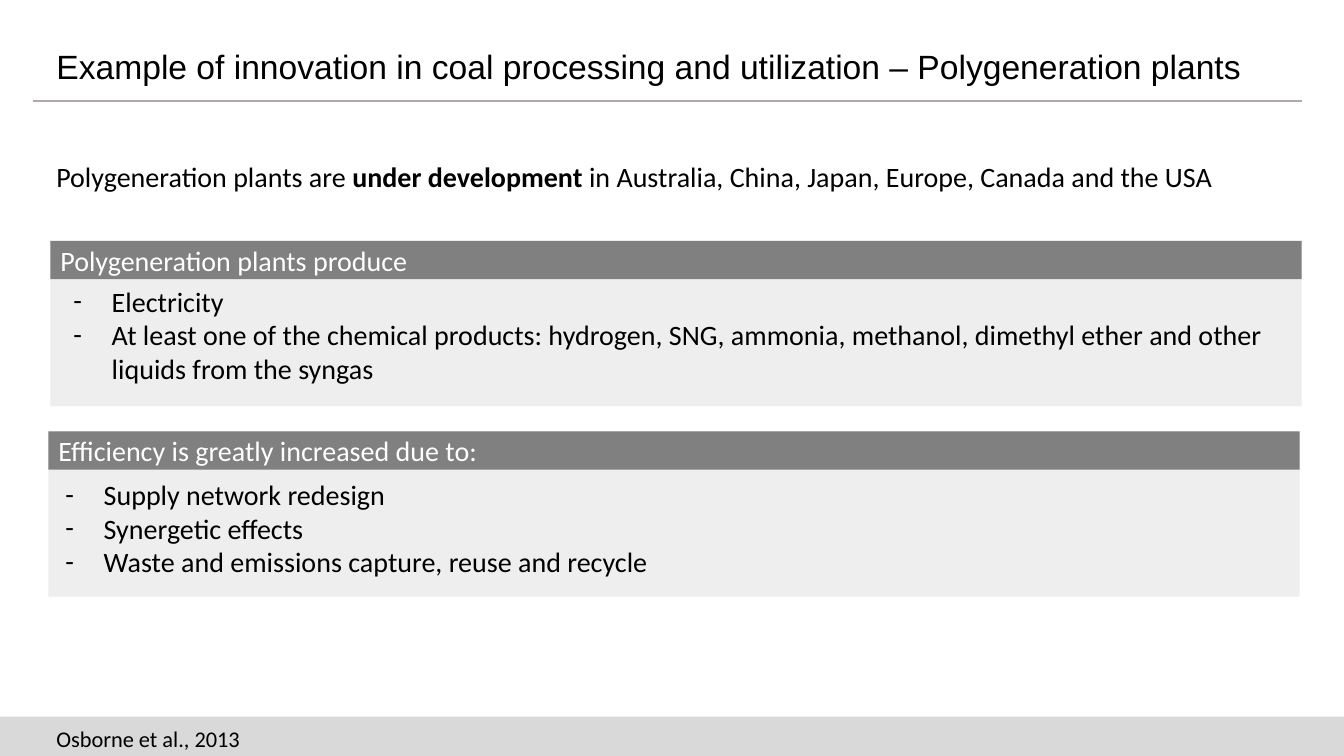
from lxml.etree import SubElement
from pptx import Presentation
from pptx.dml.color import RGBColor
from pptx.enum.shapes import MSO_CONNECTOR as Line, MSO_SHAPE as Shape
from pptx.enum.text import MSO_ANCHOR as Anchor, PP_ALIGN as Align
from pptx.oxml.ns import qn
from pptx.util import Inches, Pt

BLACK = RGBColor(0, 0, 0)
WHITE = RGBColor(255, 255, 255)
DARK = RGBColor(0x80, 0x80, 0x80)
PALE = RGBColor(0xEE, 0xEE, 0xEE)
RULE = RGBColor(0xAF, 0xAB, 0xAB)
BAND = RGBColor(0xD9, 0xD9, 0xD9)


def place(box):
    return [Inches(v) for v in box]


def add_run(para, text, size=20, color=BLACK, font="Calibri", bold=False):
    run = para.add_run()
    run.text = text
    run.font.size = Pt(size)
    run.font.name = font
    run.font.bold = bold
    run.font.color.rgb = color


def add_rect(shapes, box, color):
    rect = shapes.add_shape(Shape.RECTANGLE, *place(box))
    rect.shadow.inherit = False
    rect.fill.solid()
    rect.fill.fore_color.rgb = color
    rect.line.fill.background()
    return rect


def add_text(shapes, box, wrap=True):
    frame = shapes.add_textbox(*place(box)).text_frame
    frame.word_wrap = wrap
    return frame


def add_dash(para):
    props = para._p.get_or_add_pPr()
    props.set("marL", str(Inches(0.38)))
    props.set("indent", str(-Inches(0.38)))
    SubElement(props, qn("a:buFont"), typeface="Calibri")
    SubElement(props, qn("a:buChar"), char="-")


def add_head(slide, box, text):
    left, top, width, height = box
    title = slide.shapes.title
    title.left, title.top, title.width, title.height = place(
        (left + 0.13, top, width - 0.5, 0.5))
    frame = title.text_frame
    frame.word_wrap = False
    frame.vertical_anchor = Anchor.MIDDLE
    para = frame.paragraphs[0]
    para.alignment = Align.LEFT
    add_run(para, text, 24, font="Arial")
    base = top + height
    rule = slide.shapes.add_connector(
        Line.STRAIGHT, *place((left, base, left + width, base)))
    rule.line.color.rgb = RULE
    rule.line.width = Pt(1.5)
    SubElement(rule._element.spPr, qn("a:effectLst"))


def add_intro(slide, box, parts):
    para = add_text(slide.shapes, box).paragraphs[0]
    para.line_spacing = 0.9
    for text, bold in parts:
        add_run(para, text, bold=bold)


def add_panel(slide, box, head, items, inset, drop):
    left, top, width, height = box
    shapes = slide.shapes.add_group_shape().shapes
    add_rect(shapes, box, PALE)
    frame = add_text(
        shapes, (left + inset, top + drop, width - 0.33, height - 0.23))
    for i, item in enumerate(items):
        para = frame.add_paragraph() if i else frame.paragraphs[0]
        add_dash(para)
        add_run(para, item)
    bar = add_rect(shapes, (left, top, width, 0.38), DARK).text_frame
    bar.vertical_anchor = Anchor.MIDDLE
    bar.paragraphs[0].alignment = Align.LEFT
    add_run(bar.paragraphs[0], head, color=WHITE)


def add_foot(slide, box, text):
    left, top, width, height = box
    add_rect(slide.shapes, box, BAND)
    frame = add_text(slide.shapes, (left + 0.46, top + 0.03, 2.05, 0.37), False)
    add_run(frame.paragraphs[0], text, 16)


def main():
    deck = Presentation()
    deck.slide_width, deck.slide_height = Inches(13.33), Inches(7.5)
    slide = deck.slides.add_slide(deck.slide_layouts[5])
    add_head(slide, (0.33, 0.41, 12.58, 0.59),
             "Example of innovation in coal processing and utilization"
             " – Polygeneration plants")
    add_intro(slide, (0.46, 1.57, 11.91, 0.56), [
        ("Polygeneration plants are ", False),
        ("under development ", True),
        ("in Australia, China, Japan, Europe, Canada and the USA", False)])
    add_panel(slide, (0.5, 2.39, 12.41, 1.64),
              "Polygeneration plants produce", [
                  "Electricity",
                  "At least one of the chemical products: hydrogen, SNG, "
                  "ammonia, methanol, dimethyl ether and other liquids "
                  "from the syngas"], 0.13, 0.38)
    add_panel(slide, (0.48, 4.28, 12.41, 1.64),
              "Efficiency is greatly increased due to:", [
                  "Supply network redesign",
                  "Synergetic effects",
                  "Waste and emissions capture, reuse and recycle"],
              0.07, 0.41)
    add_foot(slide, (0, 7.11, 13.33, 0.42), "Osborne et al., 2013")
    deck.save("out.pptx")


if __name__ == "__main__":
    main()
